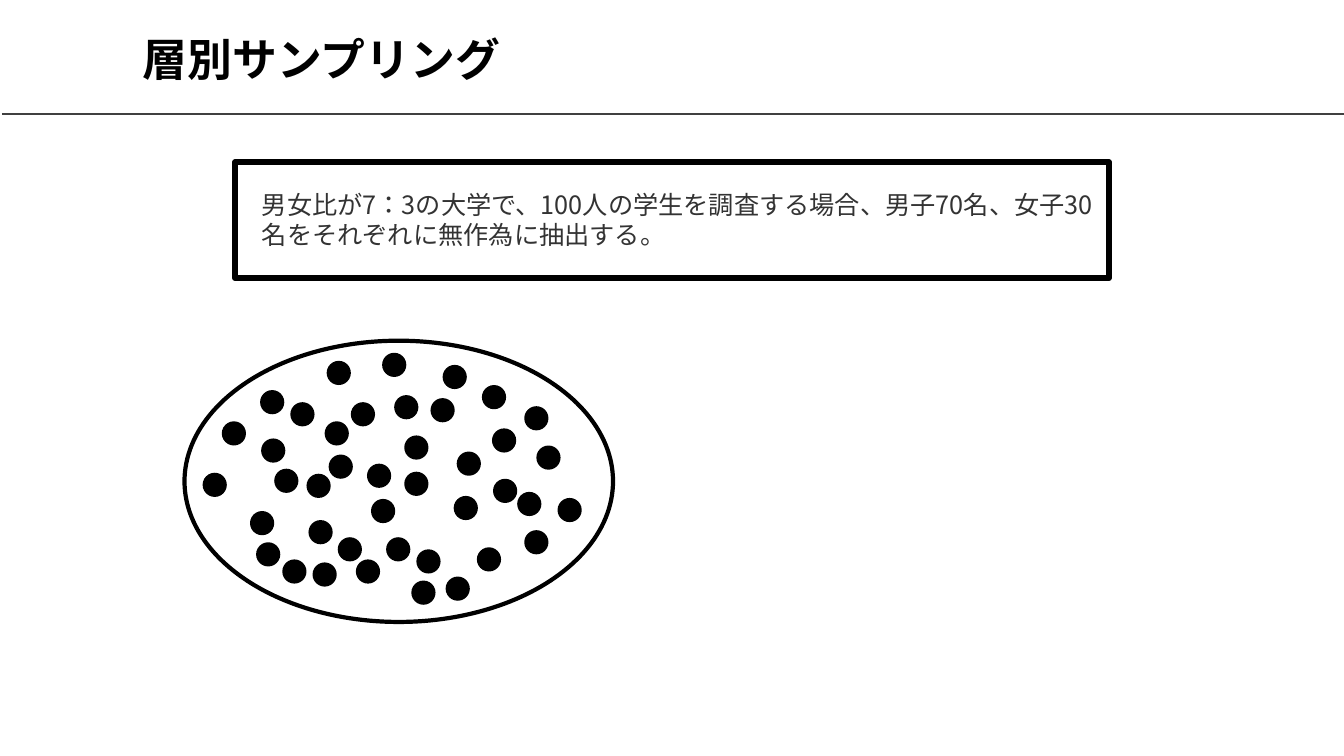
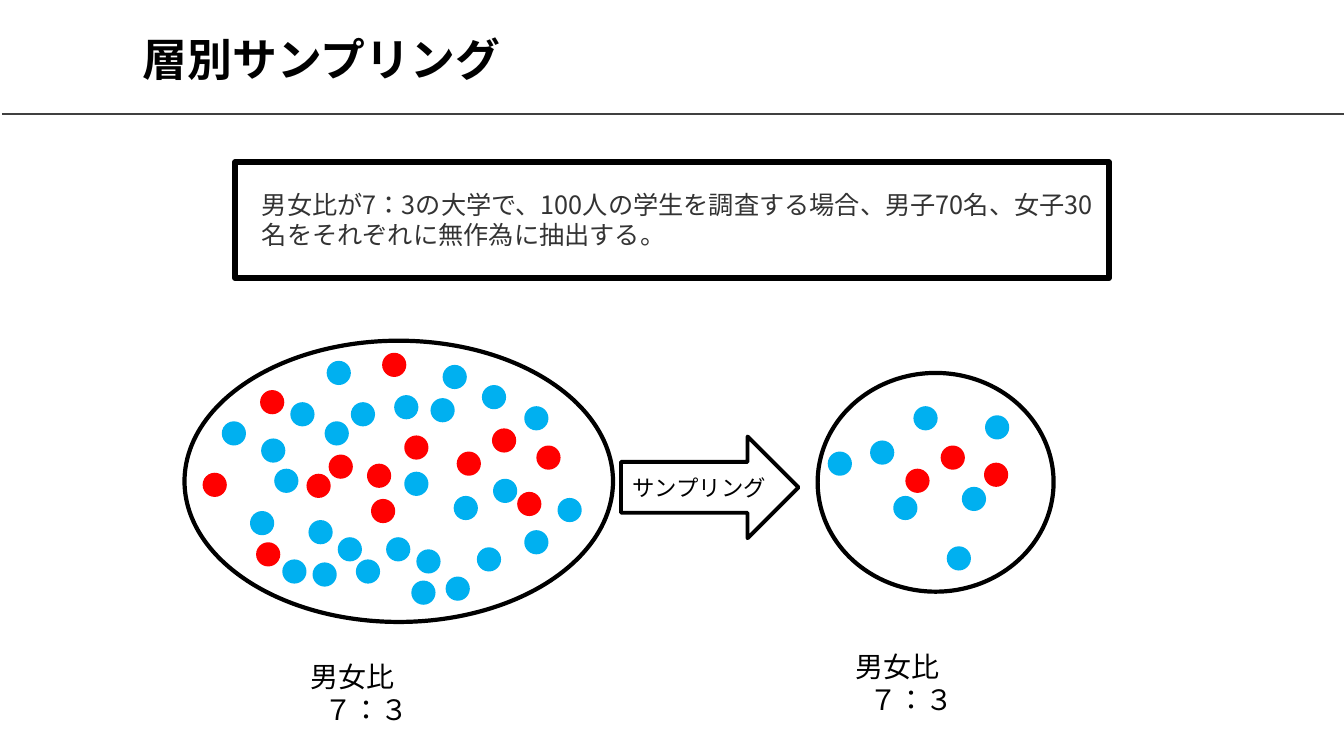
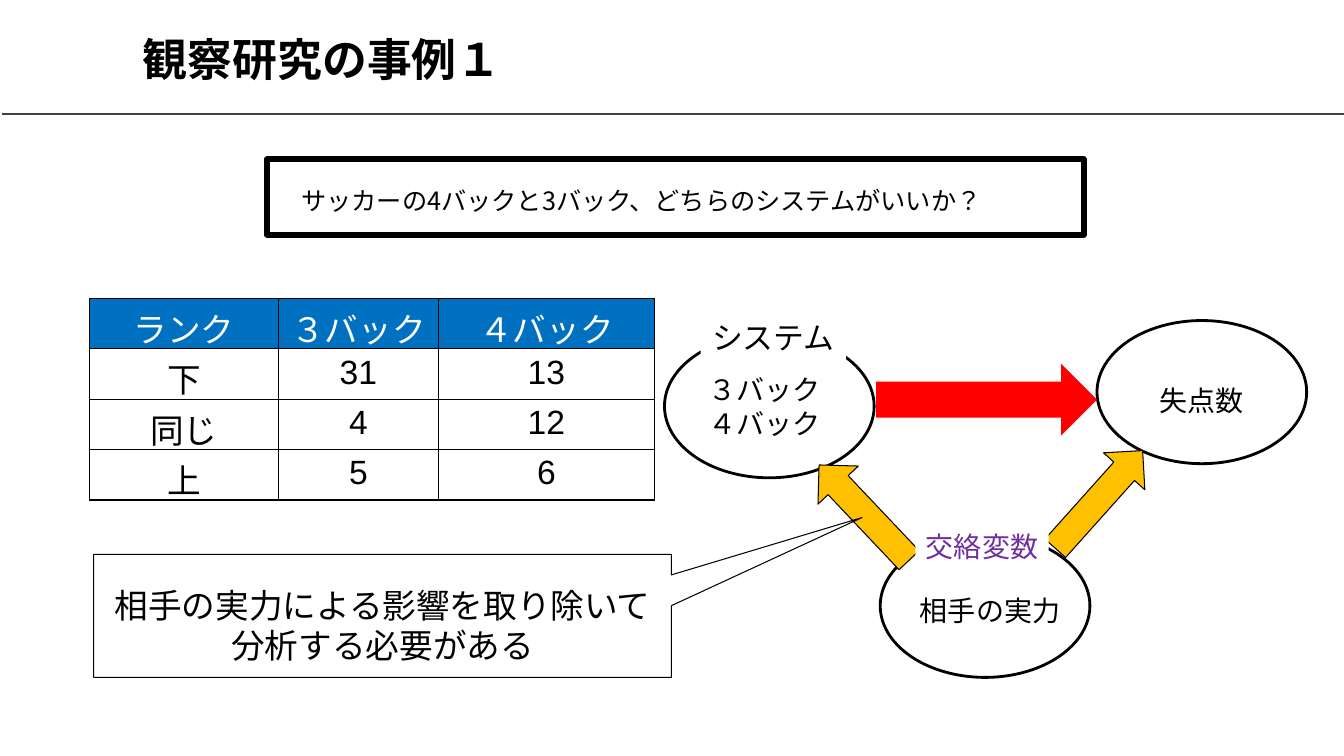
from lxml import etree
from pptx import Presentation
from pptx.dml.color import RGBColor
from pptx.enum.lang import MSO_LANGUAGE_ID
from pptx.enum.shapes import MSO_CONNECTOR, MSO_SHAPE
from pptx.enum.text import MSO_ANCHOR, PP_ALIGN
from pptx.oxml.ns import qn
from pptx.util import Emu, Pt

PX = 9144  # EMU per px, 100 px to the inch
LEFT, CENTER = PP_ALIGN.LEFT, PP_ALIGN.CENTER
TOP, MIDDLE = MSO_ANCHOR.TOP, MSO_ANCHOR.MIDDLE
JAPANESE = MSO_LANGUAGE_ID.JAPANESE
RECT, OVAL, CALLOUT = MSO_SHAPE.RECTANGLE, MSO_SHAPE.OVAL, MSO_SHAPE.RECTANGULAR_CALLOUT
RIGHT_ARROW, UP_ARROW = MSO_SHAPE.RIGHT_ARROW, MSO_SHAPE.UP_ARROW

C = {"black": "000000", "white": "FFFFFF", "rule": "404040", "body": "333333",
     "red": "FF0000", "blue": "00B0F0", "header": "0070C0",
     "amber": "FFC000", "purple": "7030A0"}
CJK, LATIN = "Noto Sans CJK JP", "Arial"

# Content: stratified sampling
SAMPLING_TITLE = "層別サンプリング"
SAMPLING_TEXT = "男女比が7：3の大学で、100人の学生を調査する場合、男子70名、女子30名をそれぞれに無作為に抽出する。"
RATIO = ["男女比", "　７：３"]
DOT = 24
POPULATION_OVAL = (183, 338, 425, 279)
POPULATION = {
    "red": [(304, 470), (326, 451), (488, 425), (258, 387), (379, 350), (513, 488),
            (453, 448), (364, 460), (532, 442), (254, 538), (201, 469), (401, 432),
            (368, 495)],
    "blue": [(401, 468), (272, 465), (306, 516), (353, 555), (413, 545), (442, 572),
             (473, 543), (450, 492), (383, 533), (520, 403), (310, 558), (439, 362),
             (553, 494), (220, 418), (478, 382), (288, 399), (520, 526), (335, 533),
             (280, 555), (348, 399), (391, 392), (408, 576), (489, 475), (259, 435),
             (324, 358), (248, 507), (322, 418), (427, 395)],
}
SAMPLE_OVAL = (811, 370, 234, 217)
SAMPLE = {
    "red": [(933, 442), (898, 465), (976, 459)],
    "blue": [(954, 483), (863, 437), (977, 412), (939, 542), (886, 492), (906, 403),
             (821, 448)],
}
RATIO_BOXES = [(290, 649, 120, 80), (830, 639, 120, 80)]

# Content: observational study
STUDY_TITLE = "観察研究の事例１"
STUDY_TEXT = "サッカーの4バックと3バック、どちらのシステムがいいか？"
CALLOUT_TEXT = "相手の実力による影響を取り除いて分析する必要がある"
RANKS = [["ランク", "３バック", "４バック"],
         ["下", "31", "13"],
         ["同じ", "4", "12"],
         ["上", "5", "6"]]
RANK_COLS, RANK_ROW = [187, 159, 214], 50
NODE_SIZE = (208, 142)
NODES = [(1088, 318), (873, 530), (659, 332)]
NODE_TEXTS = [((692, 365, 132, 77), ["３バック", "４バック"]),
              ((1140, 376, 104, 44), ["失点数"]),
              ((902, 584, 160, 44), ["相手の実力"])]
CAUSES = [((792, 481, 130, 55), 226.6), ((1025, 468, 130, 55), 311.8)]


def rgb(name):
    return RGBColor.from_string(C[name])


def emu(box):
    return [Emu(v * PX) for v in box]


def write(p, text, size, color, font, bold=False, align=LEFT):
    p.alignment = align
    r = p.add_run()
    r.text = text
    f = r.font
    f.size, f.bold, f.name, f.color.rgb = Pt(size), bold, font, rgb(color)
    f.language_id = JAPANESE
    ea = etree.SubElement(r._r.get_or_add_rPr(), qn("a:ea"))
    ea.set("typeface", CJK)


def fill_text(sp, lines, size, color="black", font=CJK, bold=False,
              align=CENTER, anchor=TOP, side=0):
    tf = sp.text_frame
    tf.word_wrap, tf.vertical_anchor = True, anchor
    tf.margin_left = tf.margin_right = Emu(side * PX)
    tf.margin_top = tf.margin_bottom = Emu(5 * PX)
    for i, line in enumerate(lines):
        p = tf.add_paragraph() if i else tf.paragraphs[0]
        write(p, line, size, color, font, bold, align)


def label(s, box, lines, size, **style):
    sp = s.shapes.add_textbox(*emu(box))
    fill_text(sp, lines, size, **style)


def shape(s, kind, box, fill=None, line=None, width=1, rotation=0):
    sp = s.shapes.add_shape(kind, *emu(box))
    sp.shadow.inherit = False
    sp.rotation = rotation
    if fill:
        sp.fill.solid()
        sp.fill.fore_color.rgb = rgb(fill)
    else:
        sp.fill.background()
    if line:
        sp.line.color.rgb = rgb(line)
        sp.line.width = Pt(width)
    else:
        sp.line.fill.background()
    return sp


def new_slide(prs, title):
    """Blank slide with the shared rule and title."""
    s = prs.slides.add_slide(prs.slide_layouts[6])
    rule = s.shapes.add_connector(MSO_CONNECTOR.STRAIGHT, *emu((2, 113, 1336, 113)))
    rule.line.color.rgb = rgb("rule")
    rule.line.width = Pt(1.5)
    etree.SubElement(rule._element.spPr, qn("a:effectLst"))
    label(s, (132, 16, 1156, 84), [title], 32, bold=True, align=LEFT,
          anchor=MIDDLE, side=10)
    return s


def statement(s, text, text_box, frame, color):
    label(s, text_box, [text], 18, color=color, align=LEFT, side=10)
    shape(s, RECT, frame, line="black", width=4)


def group(s, oval, dots, color=None):
    """Oval holding dots, in their own colours unless one is given."""
    shape(s, OVAL, oval, line="black", width=3)
    for name, places in dots.items():
        for x, y in places:
            shape(s, OVAL, (x, y, DOT, DOT), fill=color or name)


def sampling_slide(prs, color=None):
    s = new_slide(prs, SAMPLING_TITLE)
    statement(s, SAMPLING_TEXT, (250, 183, 850, 71), (233, 161, 867, 115), "body")
    group(s, POPULATION_OVAL, POPULATION, color)
    return s


def add_sample(s):
    shape(s, RIGHT_ARROW, (616, 433, 176, 101), line="black", width=2.75)
    label(s, (616, 433, 155, 101), ["サンプリング"], 16, font=LATIN, anchor=MIDDLE)
    group(s, SAMPLE_OVAL, SAMPLE)
    for box in RATIO_BOXES:
        label(s, box, RATIO, 20, font=LATIN)


def border(cell):
    tc_pr = cell._tc.get_or_add_tcPr()
    for i, side in enumerate(("lnL", "lnR", "lnT", "lnB")):
        ln = etree.Element(qn("a:" + side), w=str(Pt(1)))
        solid = etree.SubElement(ln, qn("a:solidFill"))
        etree.SubElement(solid, qn("a:srgbClr"), val=C["black"])
        tc_pr.insert(i, ln)


def rank_table(s):
    box = (89, 296, sum(RANK_COLS), RANK_ROW * len(RANKS))
    table = s.shapes.add_table(len(RANKS), len(RANK_COLS), *emu(box)).table
    for col, width in zip(table.columns, RANK_COLS):
        col.width = Emu(width * PX)
    for i, row in enumerate(RANKS):
        table.rows[i].height = Emu(RANK_ROW * PX)
        for j, text in enumerate(row):
            cell = table.cell(i, j)
            cell.margin_left = cell.margin_right = Emu(9 * PX)
            cell.margin_top = Emu(5 * PX)
            cell.margin_bottom = Emu(0)
            cell.fill.solid()
            cell.fill.fore_color.rgb = rgb("white" if i else "header")
            border(cell)
            write(cell.text_frame.paragraphs[0], text, 24,
                  "black" if i else "white", LATIN, align=CENTER)


def study_slide(prs):
    s = new_slide(prs, STUDY_TITLE)
    statement(s, STUDY_TEXT, (289, 179, 778, 40), (265, 158, 810, 75), "black")
    rank_table(s)

    # Cause and effect diagram
    for place in NODES:
        shape(s, OVAL, place + NODE_SIZE, line="black", width=2)
    for box, lines in NODE_TEXTS:
        label(s, box, lines, 20)
    shape(s, UP_ARROW, (943, 287, 71, 219), fill="red", rotation=90)
    system = shape(s, RECT, (695, 311, 144, 47), fill="white")
    fill_text(system, ["システム"], 22)
    for box, angle in CAUSES:
        shape(s, RIGHT_ARROW, box, "amber", "black", 0.75, angle)
    confounder = shape(s, RECT, (908, 520, 132, 44), fill="white")
    fill_text(confounder, ["交絡変数"], 20, color="purple", font=LATIN)

    # Callout
    label(s, (93, 575, 573, 91), [CALLOUT_TEXT], 24, side=10)
    callout = shape(s, CALLOUT, (93, 550, 573, 122), line="black", width=0.75)
    callout.adjustments[0], callout.adjustments[1] = 0.83, -0.8


def main():
    prs = Presentation()
    prs.slide_width, prs.slide_height = emu((1333, 750))
    sampling_slide(prs, "black")
    add_sample(sampling_slide(prs))
    study_slide(prs)
    prs.save("out.pptx")


if __name__ == "__main__":
    main()
